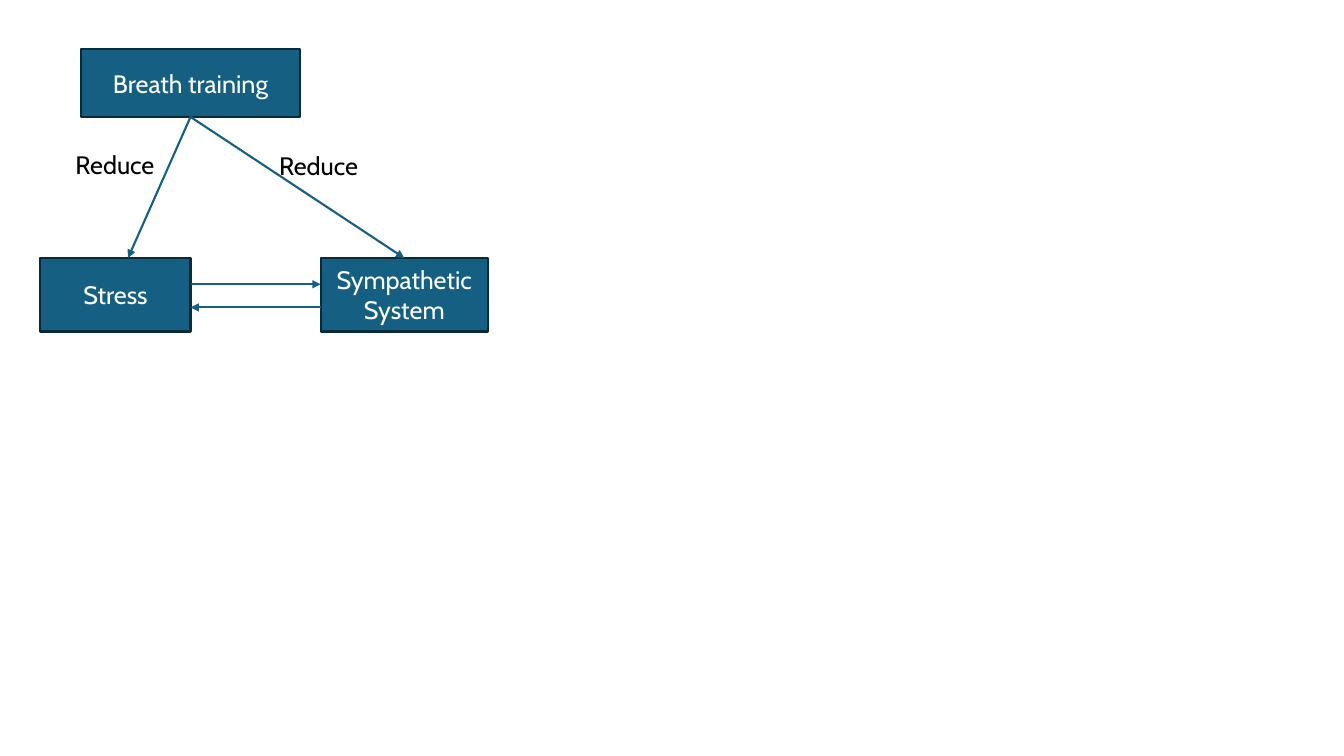
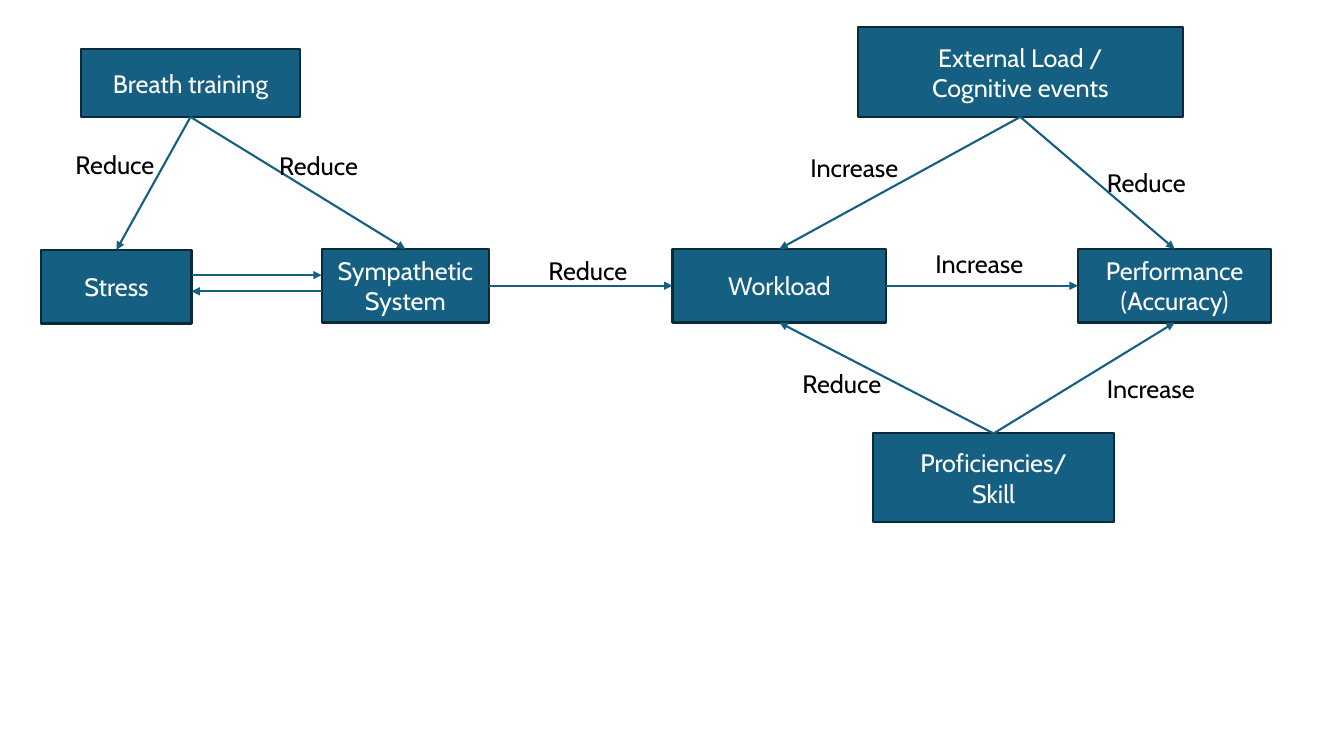
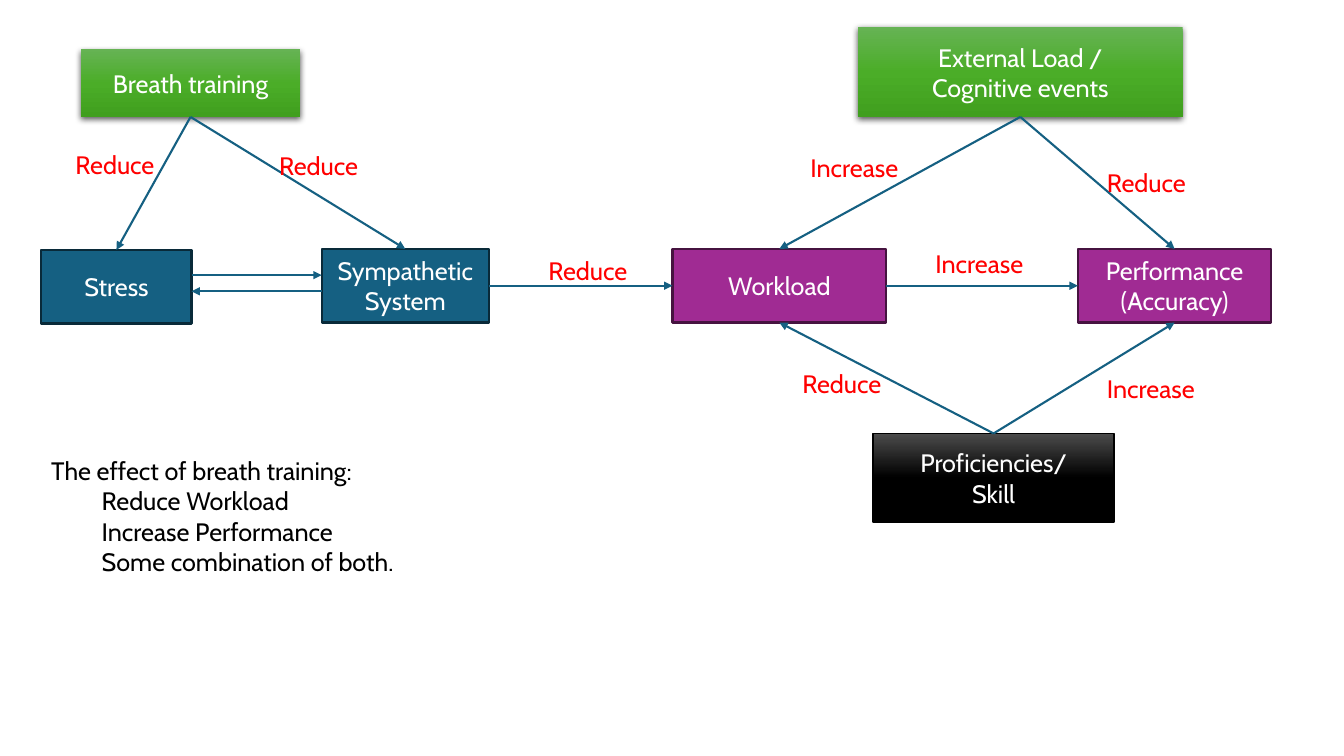
"""Build three slides that grow a cause-and-effect diagram of breath training."""
from lxml.etree import SubElement
from pptx import Presentation
from pptx.dml.color import RGBColor
from pptx.enum.shapes import MSO_CONNECTOR as CONN, MSO_SHAPE as SHAPE
from pptx.enum.text import MSO_ANCHOR as ANCHOR, MSO_AUTO_SIZE as FIT, PP_ALIGN as ALIGN
from pptx.oxml.ns import qn
from pptx.util import Inches, Pt

FONT, SIZE, WEIGHT = "Cabin", 18, 1.5
BLUE, WHITE, BLACK, RED = "156082", "FFFFFF", "000000", "FF0000"
TOP, LEFT, BOTTOM, RIGHT = range(4)
LABEL_HEIGHT = 0.4
LABEL_WIDTHS = {"Reduce": 1.04, "Increase": 1.14}

STYLES = {
    "blue": {"fill": BLUE, "line": ("092A39", WEIGHT)},
    "purple": {"fill": "A02B93", "line": ("461340", WEIGHT)},
    "green": {"grad": ("66B354", "4BAD28", "409F1E"), "shadow": True},
    "black": {"grad": ("4B4B4B", BLACK, BLACK), "line": (BLACK, 1)},
}

TEXTS = {
    "breath": ["Breath training"],
    "stress": ["Stress"],
    "system": ["Sympathetic System"],
    "load": ["External Load /", "Cognitive events"],
    "workload": ["Workload"],
    "performance": ["Performance", "(Accuracy)"],
    "skill": ["Proficiencies/", "Skill"],
}

BREATH = {"breath": (0.8, 0.49, 2.18, 0.67)}
FIRST_BOXES = BREATH | {
    "stress": (0.4, 2.56, 1.49, 0.73),
    "system": (3.18, 2.56, 1.66, 0.73),
}
FULL_BOXES = BREATH | {
    "stress": (0.41, 2.48, 1.49, 0.73),
    "system": (3.19, 2.47, 1.66, 0.73),
    "load": (8.51, 0.27, 3.22, 0.89),
    "workload": (6.67, 2.47, 2.12, 0.73),
    "performance": (10.69, 2.47, 1.92, 0.73),
    "skill": (8.66, 4.3, 2.39, 0.88),
}

TO_SYSTEM = ("breath", BOTTOM, "system", TOP)
FULL_LINKS = [
    ("breath", BOTTOM, "stress", TOP),
    TO_SYSTEM,
    ("load", BOTTOM, "performance", TOP),
    ("load", BOTTOM, "workload", TOP),
    ("skill", TOP, "performance", BOTTOM),
    ("skill", TOP, "workload", BOTTOM),
    ("workload", RIGHT, "performance", LEFT),
    ("system", RIGHT, "workload", LEFT),
]

FIRST_LABELS = [("Reduce", 0.65, 1.43), ("Reduce", 2.67, 1.44)]
FULL_LABELS = FIRST_LABELS + [
    ("Increase", 7.94, 1.46),
    ("Reduce", 10.88, 1.61),
    ("Reduce", 7.86, 3.61),
    ("Increase", 10.88, 3.65),
    ("Increase", 9.18, 2.41),
    ("Reduce", 5.34, 2.48),
]

GROUPS = {"breath": "green", "load": "green", "workload": "purple",
          "performance": "purple", "skill": "black"}
EFFECTS = ["The effect of breath training:", "Reduce Workload",
           "Increase Performance", "Some combination of both."]
EFFECTS_AT = (0.41, 4.47, 7.65, 1.31)

FIRST = {"boxes": FIRST_BOXES, "links": [TO_SYSTEM], "labels": FIRST_LABELS,
         "pair": (2.82, 3.05), "stress_tip": (1.27, 2.56)}
FULL = {"boxes": FULL_BOXES, "links": FULL_LINKS, "labels": FULL_LABELS,
        "pair": (2.73, 2.89)}
SLIDES = [FIRST, FULL,
          FULL | {"styles": GROUPS, "label_color": RED, "effects": EFFECTS}]


def rgb(color):
    return RGBColor.from_string(color)


def inches(values):
    return [Inches(v) for v in values]


def write(tf, lines, color, align=ALIGN.LEFT):
    for i, line in enumerate(lines):
        p = tf.paragraphs[0] if i == 0 else tf.add_paragraph()
        p.alignment = align
        r = p.add_run()
        r.text = line
        r.font.color.rgb = rgb(color)
        for name, value in {"name": FONT, "size": Pt(SIZE)}.items():
            setattr(r.font, name, value)


def set_gradient(fill, sp_pr, colors):
    fill.gradient()
    fill.gradient_angle = 270
    stops = sp_pr.find(qn("a:gradFill")).find(qn("a:gsLst"))
    stops[:] = []
    for i, color in enumerate(colors):
        stop = SubElement(stops, qn("a:gs"), pos=str(i * 100000 // (len(colors) - 1)))
        SubElement(stop, qn("a:srgbClr"), val=color)


def add_shadow(sp_pr):
    shadow = SubElement(sp_pr.find(qn("a:effectLst")), qn("a:outerShdw"),
                        blurRad=str(Pt(4.5)), dist=str(Pt(1.5)), dir="5400000",
                        algn="ctr", rotWithShape="0")
    color = SubElement(shadow, qn("a:srgbClr"), val=BLACK)
    SubElement(color, qn("a:alpha"), val="63000")


def add_box(s, at, lines, style):
    sp = s.shapes.add_shape(SHAPE.RECTANGLE, *inches(at))
    sp_pr = sp._element.spPr
    sp.shadow.inherit = False
    if "grad" in style:
        set_gradient(sp.fill, sp_pr, style["grad"])
    else:
        sp.fill.solid()
        sp.fill.fore_color.rgb = rgb(style["fill"])
    if "line" in style:
        color, weight = style["line"]
        sp.line.color.rgb = rgb(color)
        sp.line.width = Pt(weight)
    else:
        sp.line.fill.background()
    if "shadow" in style:
        add_shadow(sp_pr)
    sp.text_frame.vertical_anchor = ANCHOR.MIDDLE
    write(sp.text_frame, lines, WHITE, ALIGN.CENTER)
    return sp


def add_arrow(s, start=(0, 0), end=(0, 0)):
    arrow = s.shapes.add_connector(CONN.STRAIGHT, *inches(start + end))
    arrow.line.color.rgb = rgb(BLUE)
    arrow.line.width = Pt(WEIGHT)
    SubElement(arrow.line._get_or_add_ln(), qn("a:tailEnd"), type="triangle")
    SubElement(arrow._element.spPr, qn("a:effectLst"))
    return arrow


def add_text(s, at, lines, color, wrap):
    tf = s.shapes.add_textbox(*inches(at)).text_frame
    for name, value in {"word_wrap": wrap, "auto_size": FIT.SHAPE_TO_FIT_TEXT}.items():
        setattr(tf, name, value)
    write(tf, lines, color)
    return tf


def add_diagram(s, spec):
    places, styles = spec["boxes"], spec.get("styles", {})
    boxes = {name: add_box(s, at, TEXTS[name], STYLES[styles.get(name, "blue")])
             for name, at in places.items()}
    for source, source_side, target, target_side in spec["links"]:
        arrow = add_arrow(s)
        arrow.begin_connect(boxes[source], source_side)
        arrow.end_connect(boxes[target], target_side)
    if "stress_tip" in spec:
        arrow = add_arrow(s, end=spec["stress_tip"])
        arrow.begin_connect(boxes["breath"], BOTTOM)
    stress_right = places["stress"][0] + places["stress"][2]
    system_left = places["system"][0]
    upper, lower = spec["pair"]
    add_arrow(s, (stress_right, upper), (system_left, upper))
    add_arrow(s, (system_left, lower), (stress_right, lower))
    for text, x, y in spec["labels"]:
        add_text(s, (x, y, LABEL_WIDTHS[text], LABEL_HEIGHT), [text],
                 spec.get("label_color", BLACK), False)
    if "effects" in spec:
        tf = add_text(s, EFFECTS_AT, spec["effects"], BLACK, True)
        for p in tf.paragraphs[1:]:
            p.level = 1
            for name, value in {"marL": Inches(0.5), "indent": 0}.items():
                p._p.get_or_add_pPr().set(name, str(value))


def main():
    prs = Presentation()
    prs.slide_width, prs.slide_height = inches((13.33, 7.5))
    for spec in SLIDES:
        add_diagram(prs.slides.add_slide(prs.slide_layouts[6]), spec)
    prs.save("out.pptx")


if __name__ == "__main__":
    main()
